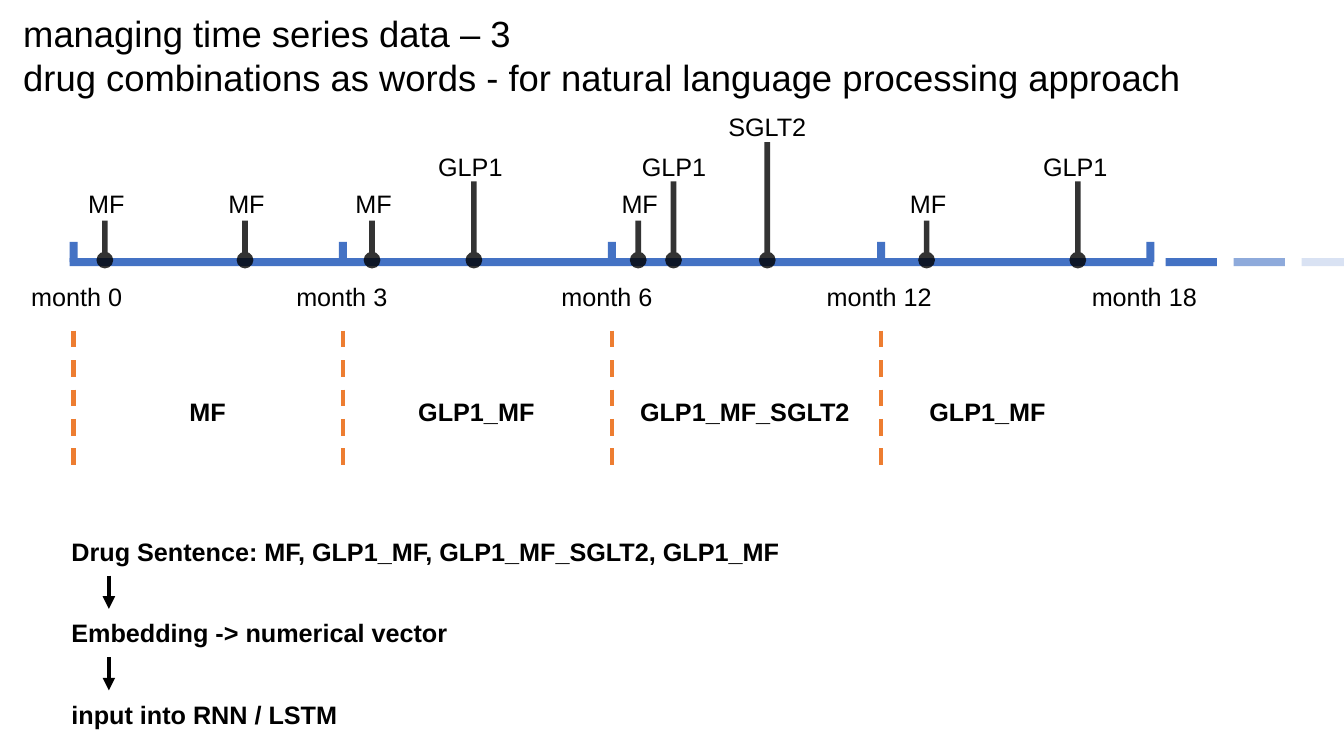
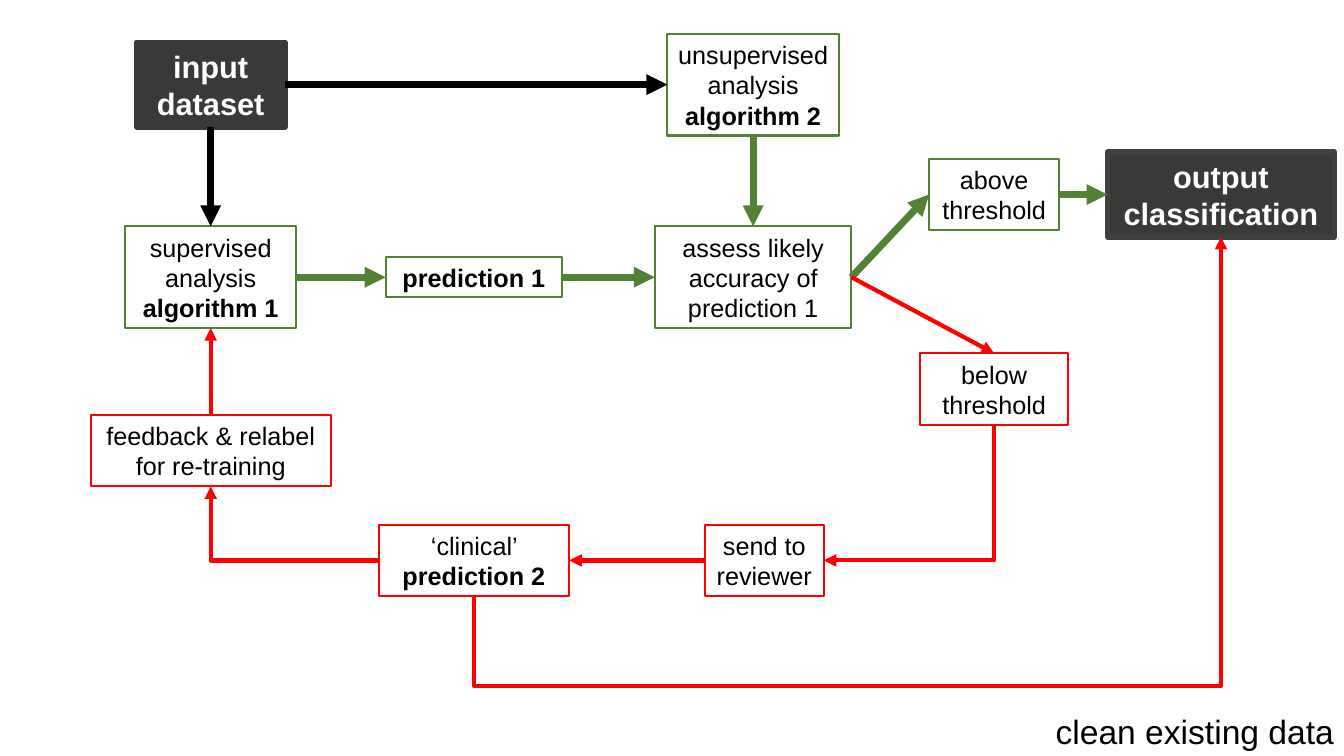
from lxml import etree
from pptx import Presentation
from pptx.dml.color import RGBColor
from pptx.enum import dml, shapes, text
from pptx.oxml.ns import qn
from pptx.util import Inches, Pt

FONT = "Arial"
COLORS = {
    "black": "000000",
    "white": "FFFFFF",
    "axis": "4472C4",
    "divider": "ED7D31",
    "automatic": "548235",
    "review": "FF0000",
    "endpoint": "3B3838",
    "endpoint_edge": "404040",
}
TOP, LEFT, BOTTOM, RIGHT = range(4)

# drug: label width, label top, stem top
DRUGS = {
    "MF": (0.57, 1.82, 2.19),
    "GLP1": (0.85, 1.45, 1.8),
    "SGLT2": (0.98, 1.06, 1.41),
}
# drug, stem x, label left
PRESCRIPTIONS = [
    ("MF", 1.04, 0.77), ("MF", 2.43, 2.16), ("MF", 3.69, 3.42),
    ("GLP1", 4.7, 4.24), ("MF", 6.33, 6.06), ("GLP1", 6.68, 6.26),
    ("SGLT2", 7.61, 7.12), ("MF", 9.19, 8.92), ("GLP1", 10.69, 10.24),
]
# label, width
MONTHS = [("month 0", 1.11), ("month 3", 1.11), ("month 6", 1.11),
          ("month 12", 1.25), ("month 18", 1.25)]
# word, left, width
DRUG_WORDS = [("MF", 1.78, 0.57), ("GLP1_MF", 4.05, 1.37),
              ("GLP1_MF_SGLT2", 6.25, 2.3), ("GLP1_MF", 9.12, 1.37)]
PIPELINE = ["Drug Sentence: MF, GLP1_MF, GLP1_MF_SGLT2, GLP1_MF",
            "Embedding -> numerical vector",
            "input into RNN / LSTM"]

# node: centre x, centre y, width, height, colour, paragraphs of (text, bold) runs
STEPS = {
    "supervised": (2.09, 2.75, 1.7, 1.01, "automatic",
                   [[("supervised analysis", False)], [("algorithm 1", True)]]),
    "unsupervised": (7.47, 0.84, 1.7, 1.01, "automatic",
                     [[("unsupervised analysis", False)], [("algorithm 2", True)]]),
    "prediction": (4.7, 2.75, 1.75, 0.4, "automatic", [[("prediction 1", True)]]),
    "assess": (7.47, 2.75, 1.95, 1.01, "automatic",
               [[("assess likely accuracy of prediction 1", False)]]),
    "above": (9.86, 1.93, 1.29, 0.71, "automatic", [[("above threshold", False)]]),
    "below": (9.86, 3.86, 1.47, 0.71, "review", [[("below threshold", False)]]),
    "reviewer": (7.58, 5.56, 1.18, 0.71, "review", [[("send to reviewer", False)]]),
    "clinical": (4.7, 5.56, 1.89, 0.71, "review",
                 [[("‘clinical’ ", False), ("prediction 2", True)]]),
    "feedback": (2.09, 4.47, 2.38, 0.71, "review",
                 [[("feedback & relabel for re-training", False)]]),
}
ENDPOINTS = {
    "input": (2.09, 0.84, 1.47, 0.84, "endpoint", [[("input dataset", True)]]),
    "output": (12.11, 1.93, 2.25, 0.84, "endpoint_edge",
               [[("output", True)], [("classification", True)]]),
}
# from node, side, to node, side, colour, line width
FLOWS = [
    ("input", BOTTOM, "supervised", TOP, "black", 5),
    ("input", RIGHT, "unsupervised", LEFT, "black", 5),
    ("supervised", RIGHT, "prediction", LEFT, "automatic", 5),
    ("prediction", RIGHT, "assess", LEFT, "automatic", 5),
    ("unsupervised", BOTTOM, "assess", TOP, "automatic", 5),
    ("assess", RIGHT, "above", LEFT, "automatic", 5),
    ("above", RIGHT, "output", LEFT, "automatic", 5),
    ("assess", RIGHT, "below", TOP, "review", 3),
    ("reviewer", LEFT, "clinical", RIGHT, "review", 3),
    ("feedback", TOP, "supervised", BOTTOM, "review", 3),
]


def rgb(name):
    return RGBColor.from_string(COLORS[name])


def set_opacity(shape, percent):
    for color in shape.element.spPr.iter(qn("a:srgbClr")):
        etree.SubElement(color, qn("a:alpha"), val=str(percent * 1000))


def write(frame, paragraphs, size, color="black", align=text.PP_ALIGN.LEFT):
    """Fill a text frame with paragraphs, each a list of (text, bold) runs."""
    frame.auto_size = text.MSO_AUTO_SIZE.SHAPE_TO_FIT_TEXT
    for index, runs in enumerate(paragraphs):
        paragraph = frame.add_paragraph() if index else frame.paragraphs[0]
        paragraph.alignment = align
        for content, bold in runs:
            run = paragraph.add_run()
            run.text = content
            run.font.name = FONT
            run.font.size = Pt(size)
            run.font.bold = bold
            run.font.color.rgb = rgb(color)


def add_titled_slide(deck, lines, left, top, width, height, size, align):
    slide = deck.slides.add_slide(deck.slide_layouts[5])
    title = slide.shapes.title
    title.left, title.top = Inches(left), Inches(top)
    title.width, title.height = Inches(width), Inches(height)
    title.text_frame.vertical_anchor = text.MSO_ANCHOR.TOP
    write(title.text_frame, [[(line, False)] for line in lines], size, align=align)
    return slide


def add_label(slide, content, left, top, width, bold=False, wrap=False,
              align=text.PP_ALIGN.LEFT):
    box = slide.shapes.add_textbox(Inches(left), Inches(top), Inches(width), Inches(0.4))
    box.text_frame.word_wrap = wrap
    write(box.text_frame, [[(content, bold)]], 18, align=align)


def add_bar(slide, left, top, width, height, opacity=100):
    bar = slide.shapes.add_shape(shapes.MSO_SHAPE.RECTANGLE, Inches(left), Inches(top),
                                 Inches(width), Inches(height))
    bar.shadow.inherit = False
    bar.fill.solid()
    bar.fill.fore_color.rgb = rgb("axis")
    bar.line.fill.background()
    if opacity < 100:
        set_opacity(bar, opacity)


def style_line(line, color, weight, head=None, tail=None):
    line.line.color.rgb = rgb(color)
    line.line.width = Pt(weight)
    for tag, kind in (("a:headEnd", head), ("a:tailEnd", tail)):
        if kind:
            etree.SubElement(line.get_or_add_ln(), qn(tag), type=kind)
    etree.SubElement(line.element.spPr, qn("a:effectLst"))


def add_vertical(slide, x, start, end):
    return slide.shapes.add_connector(shapes.MSO_CONNECTOR.STRAIGHT, Inches(x),
                                      Inches(start), Inches(x), Inches(end))


def add_node(slide, x, y, width, height, color, paragraphs, endpoint=False):
    node = slide.shapes.add_shape(
        shapes.MSO_SHAPE.RECTANGLE, Inches(x - width / 2), Inches(y - height / 2),
        Inches(width), Inches(height))
    node.shadow.inherit = False
    node.line.color.rgb = rgb(color)
    node.line.width = Pt(4 if endpoint else 1.5)
    if endpoint:
        node.fill.solid()
        node.fill.fore_color.rgb = rgb("endpoint")
    else:
        node.fill.background()
    node.text_frame.word_wrap = True
    node.text_frame.vertical_anchor = text.MSO_ANCHOR.MIDDLE
    write(node.text_frame, paragraphs, 22 if endpoint else 18,
          "white" if endpoint else "black", text.PP_ALIGN.CENTER)
    return node


def join(slide, kind, source, source_side, target, target_side, color, weight):
    arrow = slide.shapes.add_connector(kind, 0, 0, 0, 0)
    arrow.begin_connect(source, source_side)
    arrow.end_connect(target, target_side)
    style_line(arrow, color, weight, tail="triangle")
    return arrow


def add_elbow(slide, source, source_side, target, target_side, turn,
              preset="bentConnector2", flipped=False, bend=None):
    """Join two nodes by a right-angled arrow, its preset turned by 90 or 180 degrees."""
    arrow = join(slide, shapes.MSO_CONNECTOR.ELBOW, source, source_side,
                 target, target_side, "review", 3)
    center_x = (arrow.begin_x + arrow.end_x) // 2
    center_y = (arrow.begin_y + arrow.end_y) // 2
    width, height = arrow.width, arrow.height
    if turn == 90:
        width, height = height, width
    arrow.left, arrow.top = center_x - width // 2, center_y - height // 2
    arrow.width, arrow.height = width, height
    frame = arrow.element.spPr.find(qn("a:xfrm"))
    frame.set("rot", str(turn * 60000))
    for flip in ("flipH", "flipV"):
        frame.set(flip, str(int(flipped)))
    geometry = arrow.element.spPr.find(qn("a:prstGeom"))
    geometry.set("prst", preset)
    if bend is not None:
        guides = geometry.find(qn("a:avLst"))
        if guides is None:
            guides = etree.SubElement(geometry, qn("a:avLst"))
        etree.SubElement(guides, qn("a:gd"), name="adj1", fmla=f"val {round(bend * 100000)}")


def build_timeline(deck):
    slide = add_titled_slide(
        deck,
        ["managing time series data – 3",
         "drug combinations as words - for natural language processing approach"],
        0.13, 0.06, 11.86, 0.98, 26, text.PP_ALIGN.LEFT)

    add_bar(slide, 0.69, 2.56, 10.75, 0.08)
    for index, (month, width) in enumerate(MONTHS):
        tick = 0.69 + 2.67 * index
        add_bar(slide, tick, 2.4, 0.08, 0.2)
        add_label(slide, month, 0.21 + 2.63 * index, 2.74, width)
        if index < len(DRUG_WORDS):
            divider = add_vertical(slide, tick + 0.04, 3.28, 4.62)
            divider.line.dash_style = dml.MSO_LINE.DASH
            style_line(divider, "divider", 3)
    for index, opacity in enumerate((100, 60, 20)):
        add_bar(slide, 11.56 + 0.675 * index, 2.56, 0.51, 0.08, opacity)

    for drug, x, label_left in PRESCRIPTIONS:
        width, label_top, stem_top = DRUGS[drug]
        stem = add_vertical(slide, x, 2.58, stem_top)
        style_line(stem, "black", 4, head="oval")
        set_opacity(stem, 80)
        add_label(slide, drug, label_left, label_top, width, align=text.PP_ALIGN.CENTER)

    for word, left, width in DRUG_WORDS:
        add_label(slide, word, left, 3.88, width, bold=True)

    for index, stage in enumerate(PIPELINE):
        top = 5.27 + 0.81 * index
        add_label(slide, stage, 0.61, top, 7.69, bold=True, wrap=True)
        if index < len(PIPELINE) - 1:
            arrow = add_vertical(slide, 1.08, top + 0.44, top + 0.77)
            style_line(arrow, "black", 3, tail="triangle")


def build_workflow(deck):
    slide = add_titled_slide(deck, ["clean existing data"], 9.33, 7, 4, 0.5, 24,
                             text.PP_ALIGN.RIGHT)
    nodes = {name: add_node(slide, *step) for name, step in STEPS.items()}
    for name, endpoint in ENDPOINTS.items():
        nodes[name] = add_node(slide, *endpoint, endpoint=True)
    for source, source_side, target, target_side, color, weight in FLOWS:
        join(slide, shapes.MSO_CONNECTOR.STRAIGHT, nodes[source], source_side,
             nodes[target], target_side, color, weight)
    add_elbow(slide, nodes["below"], BOTTOM, nodes["reviewer"], RIGHT, 90)
    add_elbow(slide, nodes["clinical"], LEFT, nodes["feedback"], BOTTOM, 180)
    add_elbow(slide, nodes["clinical"], BOTTOM, nodes["output"], BOTTOM, 90,
              "bentConnector3", flipped=True, bend=-0.25)


def main():
    deck = Presentation()
    deck.slide_width, deck.slide_height = Inches(13.33), Inches(7.5)
    build_timeline(deck)
    build_workflow(deck)
    deck.save("out.pptx")


if __name__ == "__main__":
    main()
